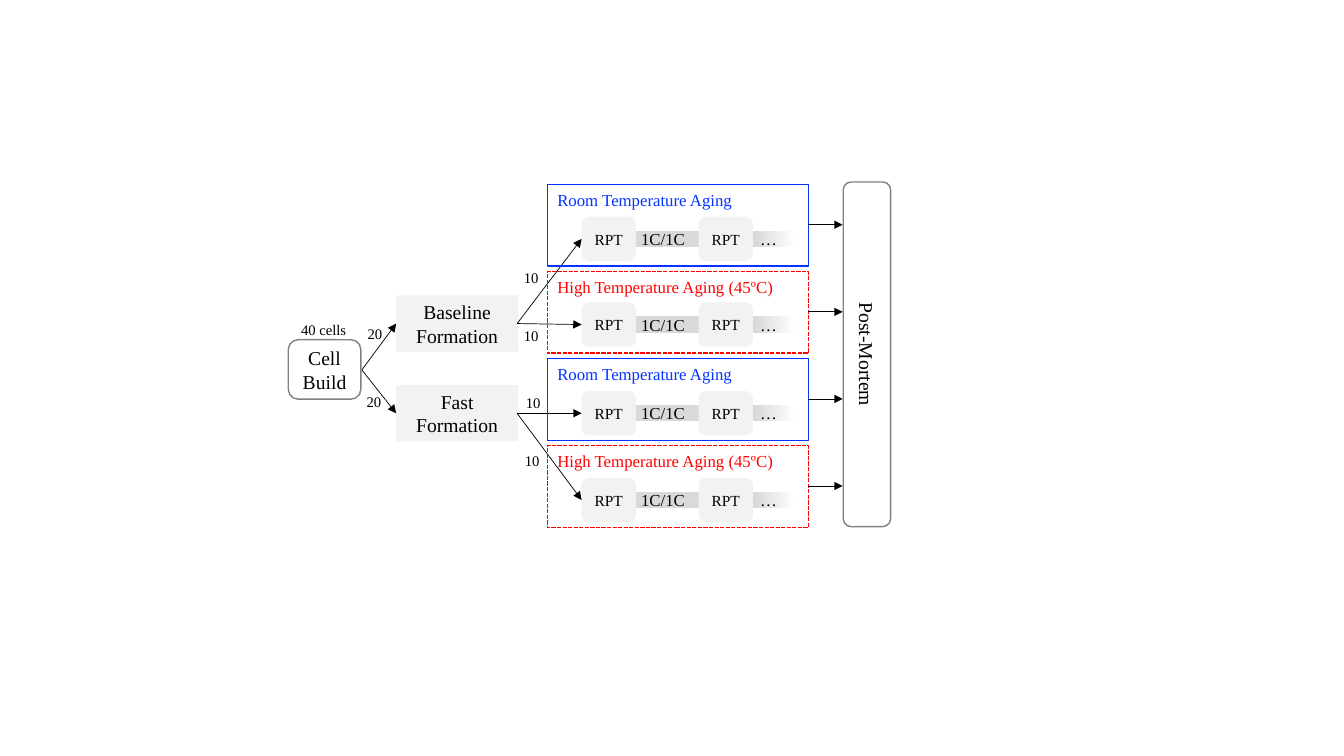
from copy import deepcopy
from dataclasses import dataclass

from lxml import etree
from pptx import Presentation
from pptx import util as u
from pptx.dml import color as col
from pptx.enum import dml, shapes, text
from pptx.oxml import ns

CELL = u.Inches(0.1)  # one column or row of the grid
COLS, ROWS = 133.33, 75
BOX = shapes.MSO_SHAPE.RECTANGLE
ROUND = shapes.MSO_SHAPE.ROUNDED_RECTANGLE
LEFT, MID = text.PP_ALIGN.LEFT, text.PP_ALIGN.CENTER
HIGH, HALF = text.MSO_ANCHOR.TOP, text.MSO_ANCHOR.MIDDLE


@dataclass(frozen=True)
class Theme:
    font: str = "Times New Roman"
    ink: str = "000000"
    pale: str = "F2F2F2"
    band: str = "D9D9D9"
    white: str = "FFFFFF"
    edge: str = "808080"
    room: str = "0432FF"
    hot: str = "FF0000"
    big: float = 14
    body: float = 12
    test: float = 11
    note: float = 10.5
    thin: float = 0.5
    wide: float = 1


def rgb(tone):
    return col.RGBColor.from_string(tone)


def grid(*cells):
    return [round(c * CELL) for c in cells]


def add_xml(parent, tag, **attrs):
    return etree.SubElement(parent, ns.qn(tag), attrs)


class Sketch:
    def __init__(self, deck, theme):
        self.theme = theme
        self.slide = deck.slides.add_slide(deck.slide_layouts[6])

    def label(self, shape, words, size, tone=None, align=MID, anchor=HALF):
        frame = shape.text_frame
        frame.word_wrap = True
        frame.vertical_anchor = anchor
        para = frame.paragraphs[0]
        para.text = words
        para.alignment = align
        para.font.name = self.theme.font
        para.font.size = u.Pt(size)
        para.font.color.rgb = rgb(tone or self.theme.ink)

    def block(self, kind, at, fill=None, edge=None):
        shape = self.slide.shapes.add_shape(kind, *grid(*at))
        shape.shadow.inherit = False
        if fill:
            shape.fill.solid()
            shape.fill.fore_color.rgb = rgb(fill)
        else:
            shape.fill.background()
        if edge:
            shape.line.color.rgb = rgb(edge)
            shape.line.width = u.Pt(self.theme.wide)
        else:
            shape.line.fill.background()
        return shape

    def band(self, left, mid):
        """Fading cycling bar, with a tab stop for the dots."""
        bar = self.block(BOX, (left, mid - 0.8, 19.2, 1.6))
        bar.fill.gradient()
        bar.fill.gradient_angle = 0
        first, last = bar.fill.gradient_stops
        first.color.rgb = rgb(self.theme.band)
        last.color.rgb = rgb(self.theme.white)
        stops = bar.element.xpath(".//a:gsLst")[0]
        hold = deepcopy(stops[0])
        hold.set("pos", "79000")
        stops.insert(1, hold)
        self.label(bar, "1C/1C\t…", self.theme.body, align=LEFT)
        bar.text_frame.margin_left, dots = grid(3.9, 11.8)
        tabs = etree.Element(ns.qn("a:tabLst"))
        add_xml(tabs, "a:tab", pos=str(dots), algn="l")
        bar.element.xpath(".//a:defRPr")[0].addprevious(tabs)

    def test(self, left, mid):
        box = self.block(ROUND, (left, mid - 2.2, 5.4, 4.4), self.theme.pale)
        self.label(box, "RPT", self.theme.test)

    def frame(self, top, words, tone, dash):
        box = self.block(BOX, (54.3, top, 25.9, 8.1), edge=tone)
        if dash:
            box.line.dash_style = dml.MSO_LINE.SQUARE_DOT
        self.label(box, words, self.theme.body, tone, LEFT, HIGH)

    def note(self, left, top, words, width=5.4):
        box = self.slide.shapes.add_textbox(*grid(left, top, width, 2.9))
        self.label(box, words, self.theme.note, anchor=HIGH)

    def arrow(self, start, end):
        link = self.slide.shapes.add_connector(
            shapes.MSO_CONNECTOR.STRAIGHT, *grid(*start, *end))
        link.line.color.rgb = rgb(self.theme.ink)
        link.line.width = u.Pt(self.theme.thin)
        add_xml(link.element.xpath(".//a:ln")[0], "a:tailEnd",
                type="triangle")
        add_xml(link.element.spPr, "a:effectLst")


def main():
    deck = Presentation()
    deck.slide_width, deck.slide_height = grid(COLS, ROWS)
    theme = Theme()
    art = Sketch(deck, theme)

    # Test sequences, one in each aging lane
    mids = (23.7, 32.2, 41, 49.6)
    for mid in mids:
        art.band(59.7, mid)
        for left in (57.7, 69.3):
            art.test(left, mid)

    # Formation steps and their arrows
    fork = (35.9, 36.7)
    steps = (("Baseline Formation", 32.1, mids[:2]),
             ("Fast Formation", 41, mids[2:]))
    for words, mid, ends in steps:
        box = art.block(BOX, (39.3, mid - 2.8, 12.1, 5.6), theme.pale)
        art.label(box, words, theme.big)
        art.arrow(fork, (39.3, mid))
        for end in ends:
            art.arrow((51.3, mid), (57.7, end))

    # Aging lanes, leading to the last step
    kinds = (("Room Temperature Aging", theme.room, False),
             ("High Temperature Aging (45ºC)", theme.hot, True))
    for lane in range(4):
        top = 18.3 + 8.64 * lane
        art.frame(top, *kinds[lane % 2])
        art.arrow((80.2, top + 4), (83.6, top + 4))

    # Cell counts
    art.note(27.7, 31.3, "40 cells", 8.8)
    for left, top in ((34.5, 31.7), (34.4, 38.5)):
        art.note(left, top, "20")
    for left, top in ((50, 26.2), (50, 31.9), (50.2, 38.6), (50.1, 44.3)):
        art.note(left, top, "10")

    # First and last steps
    build = art.block(ROUND, (28.6, 33.7, 7.2, 5.9), theme.white, theme.edge)
    art.label(build, "Cell Build", theme.big)
    final = art.block(ROUND, (68.9, 32.8, 34.2, 4.7), theme.white, theme.edge)
    final.rotation = 90
    art.label(final, "Post-Mortem", theme.big)

    deck.save("out.pptx")


if __name__ == "__main__":
    main()
